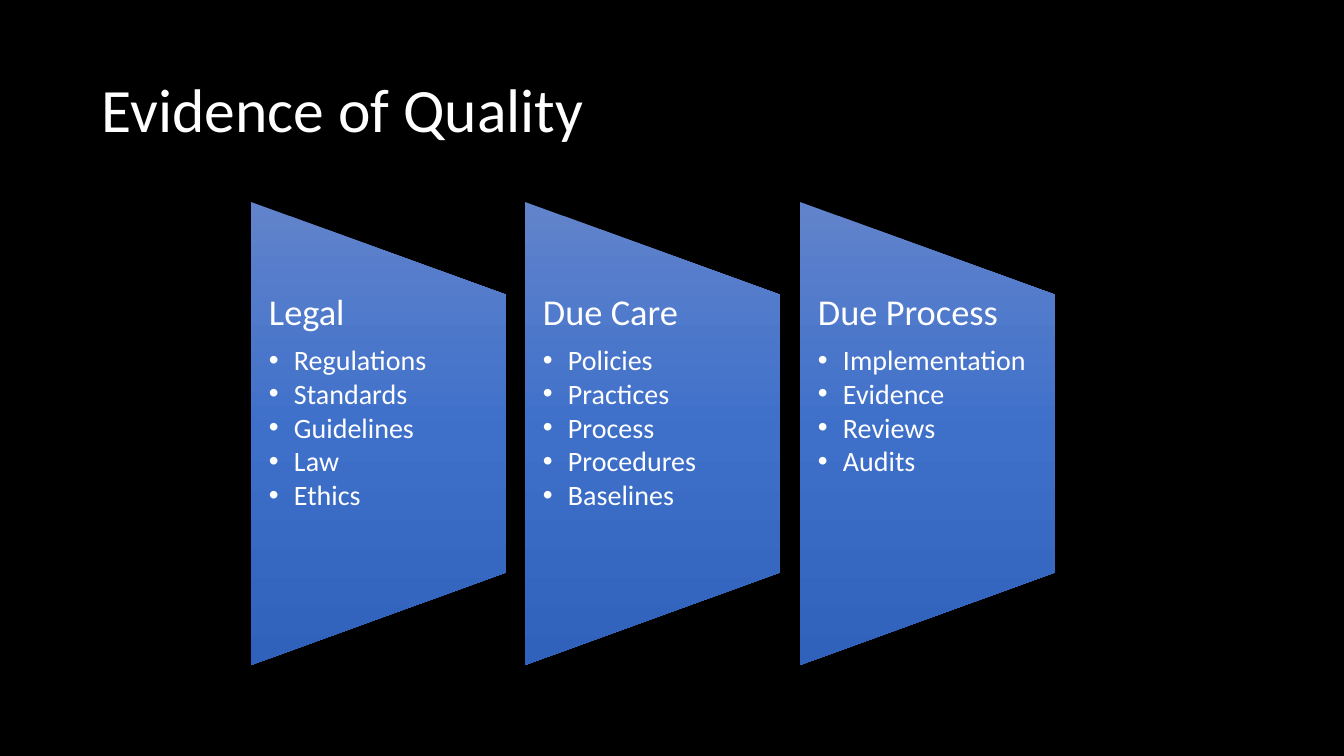
from lxml.etree import SubElement
from pptx import Presentation
from pptx.dml.color import RGBColor
from pptx.enum.shapes import MSO_SHAPE
from pptx.enum.text import MSO_ANCHOR
from pptx.oxml import parse_xml
from pptx.oxml.ns import nsdecls, qn
from pptx.util import Emu, Pt

EMU_PER_PX = 914400 / 100.8
COLORS = {
    "background": "000000",
    "text": "FFFFFF",
    "panel_top": "6183CB",
    "panel_middle": "3E70CA",
    "panel_bottom": "3062BB",
}
FONT = "Calibri"
FORMATS = {
    "title": {"size": Pt(44), "name": FONT},
    "heading": {"size": Pt(26), "name": FONT},
    "bullet": {"size": Pt(20), "name": FONT},
}
SPACE_AFTER = {"title": Pt(0), "heading": Pt(9.1), "bullet": Pt(2.6)}
PANELS = [
    ("Legal", ["Regulations", "Standards", "Guidelines", "Law", "Ethics"]),
    ("Due Care", ["Policies", "Practices", "Process", "Procedures", "Baselines"]),
    ("Due Process", ["Implementation", "Evidence", "Reviews", "Audits"]),
]
PANEL_LEFT, PANEL_TOP, PANEL_WIDTH, PANEL_HEIGHT = 251, 202, 255, 463
THREE_PANEL_SPAN = 549
TEXT_TOP, TEXT_HEIGHT = 294, 278


def px(length):
    return Emu(round(length * EMU_PER_PX))


def add_text_box(page, left, top, width, height, side_inset, end_inset, anchor):
    box = page.shapes.add_textbox(px(left), px(top), px(width), px(height))
    frame_format = {
        "word_wrap": True,
        "vertical_anchor": anchor,
        "margin_left": px(side_inset),
        "margin_right": px(side_inset),
        "margin_top": px(end_inset),
        "margin_bottom": px(end_inset),
    }
    for name, value in frame_format.items():
        setattr(box.text_frame, name, value)
    return box.text_frame


def write_paragraph(paragraph, text, style):
    paragraph.line_spacing = 0.9
    paragraph.space_after = SPACE_AFTER[style]
    if style == "bullet":
        add_bullet(paragraph)
    span = paragraph.add_run()
    span.text = text
    for name, value in FORMATS[style].items():
        setattr(span.font, name, value)
    span.font.color.rgb = RGBColor.from_string(COLORS["text"])


def add_bullet(paragraph):
    properties = paragraph._p.get_or_add_pPr()
    properties.set("marL", str(px(25)))
    properties.set("indent", str(px(-25)))
    SubElement(properties, qn("a:buFont")).set("typeface", "Arial")
    SubElement(properties, qn("a:buChar")).set("char", "•")


def fill_downwards(shape):
    """Shade from top to bottom of the page, whatever the shape's rotation."""
    names = ("panel_top", "panel_middle", "panel_bottom")
    stops = "".join(
        f'<a:gs pos="{index * 50000}"><a:srgbClr val="{COLORS[name]}"/></a:gs>'
        for index, name in enumerate(names)
    )
    gradient = parse_xml(
        f'<a:gradFill {nsdecls("a")} rotWithShape="0"><a:gsLst>{stops}</a:gsLst>'
        '<a:lin ang="5400000" scaled="0"/></a:gradFill>'
    )
    shape._element.spPr.find(qn("a:prstGeom")).addnext(gradient)


def add_panel(page, left, heading, bullets):
    # The trapezoid is laid on its side, so its box is turned about the centre.
    turn = (PANEL_HEIGHT - PANEL_WIDTH) // 2
    panel = page.shapes.add_shape(
        MSO_SHAPE.FLOWCHART_MANUAL_OPERATION,
        px(left - turn), px(PANEL_TOP + turn), px(PANEL_HEIGHT), px(PANEL_WIDTH),
    )
    panel.rotation = 270
    panel.shadow.inherit = False
    panel.line.fill.background()
    fill_downwards(panel)

    frame = add_text_box(page, left, TEXT_TOP, PANEL_WIDTH, TEXT_HEIGHT, 18, 0, MSO_ANCHOR.TOP)
    write_paragraph(frame.paragraphs[0], heading, "heading")
    for bullet in bullets:
        write_paragraph(frame.add_paragraph(), bullet, "bullet")


def add_title(page, text):
    frame = add_text_box(page, 92, 40, 1159, 146, 10, 5, MSO_ANCHOR.MIDDLE)
    write_paragraph(frame.paragraphs[0], text, "title")


def main():
    deck = Presentation()
    deck.slide_width, deck.slide_height = px(1344), px(756)
    page = deck.slides.add_slide(deck.slide_layouts[6])
    page.background.fill.solid()
    page.background.fill.fore_color.rgb = RGBColor.from_string(COLORS["background"])

    add_title(page, "Evidence of Quality")
    for column, (heading, bullets) in enumerate(PANELS):
        add_panel(page, PANEL_LEFT + column * THREE_PANEL_SPAN // 2, heading, bullets)
    deck.save("out.pptx")


if __name__ == "__main__":
    main()
